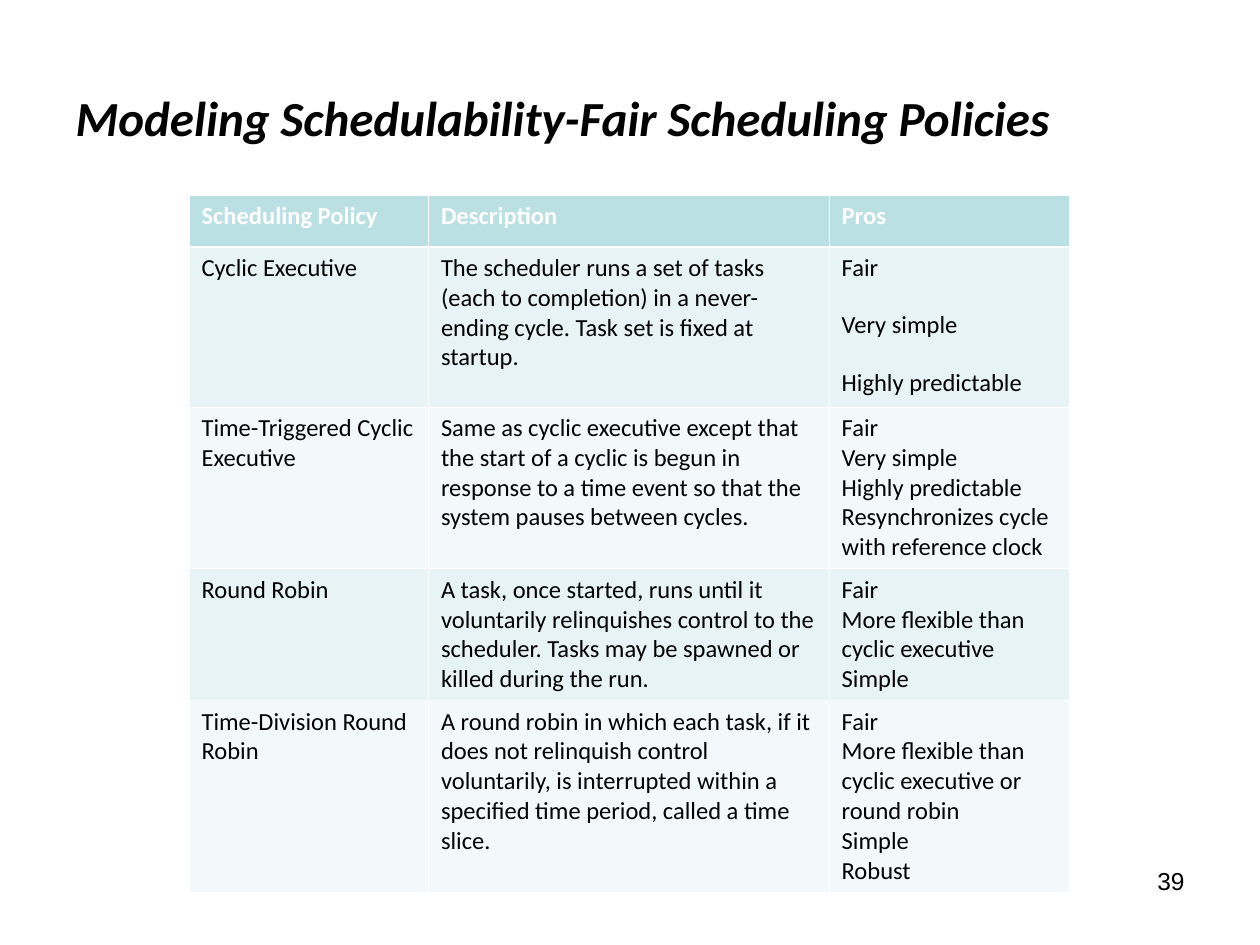
from dataclasses import dataclass

from lxml import etree
from pptx import Presentation
from pptx import util as u
from pptx.dml.color import RGBColor
from pptx.enum import text
from pptx.oxml.ns import qn

BLACK = RGBColor(0x00, 0x00, 0x00)
WHITE = RGBColor(0xFF, 0xFF, 0xFF)
HEADER = RGBColor(0xBB, 0xE0, 0xE3)
BANDS = (RGBColor(0xE7, 0xF3, 0xF4), RGBColor(0xF3, 0xF9, 0xFA))

WIDTH, HEIGHT = u.Inches(10), u.Inches(7.5)
COLUMNS = (0.19, 0.318, 0.191)
THIN, THICK = 0.45, 1.47


@dataclass
class Row:
    policy: str
    description: str
    pros: tuple[str, ...]
    height: float
    gap: float = 0


ROWS = (
    Row("Scheduling Policy", "Description", ("Pros",), 0.41),
    Row("Cyclic Executive",
        "The scheduler runs a set of tasks (each to completion) in a "
        "never-ending cycle. Task set is fixed at startup.",
        ("Fair", "Very simple", "Highly predictable"), 1.27, gap=15.7),
    Row("Time-Triggered Cyclic Executive",
        "Same as cyclic executive except that the start of a cyclic is begun "
        "in response to a time event so that the system pauses between cycles.",
        ("Fair", "Very simple", "Highly predictable",
         "Resynchronizes cycle with reference clock"), 1.27),
    Row("Round Robin",
        "A task, once started, runs until it voluntarily relinquishes control "
        "to the scheduler. Tasks may be spawned or killed during the run.",
        ("Fair", "More flexible than cyclic executive", "Simple"), 1.03),
    Row("Time-Division Round Robin",
        "A round robin in which each task, if it does not relinquish control "
        "voluntarily, is interrupted within a specified time period, called "
        "a time slice.",
        ("Fair", "More flexible than cyclic executive or round robin",
         "Simple", "Robust"), 1.5),
)


def place(sp, left: float, top: float, width: float, height: float) -> None:
    sp.left, sp.top = int(WIDTH * left), int(HEIGHT * top)
    sp.width, sp.height = int(WIDTH * width), int(HEIGHT * height)


def set_font(p, name: str, size: float, color: RGBColor,
             bold: bool = False, italic: bool = False) -> None:
    p.font.name, p.font.size = name, u.Pt(size)
    p.font.bold, p.font.italic = bold, italic
    p.font.color.rgb = color


def add_borders(cell, top: float, bottom: float) -> None:
    tcPr = cell._tc.get_or_add_tcPr()
    for side, width in zip("LRTB", (THIN, THIN, top, bottom)):
        ln = etree.SubElement(tcPr, qn(f"a:ln{side}"), w=str(u.Pt(width)))
        fill = etree.SubElement(ln, qn("a:solidFill"))
        etree.SubElement(fill, qn("a:srgbClr"), val=str(WHITE))


def fill_row(tbl, index: int, row: Row) -> None:
    header = index == 0
    tbl.rows[index].height = u.Inches(row.height)
    columns = ((row.policy,), (row.description,), row.pros)
    for cell, lines in zip(tbl.rows[index].cells, columns):
        add_borders(cell, THICK if index == 1 else THIN,
                    THICK if header else THIN)
        cell.fill.solid()
        cell.fill.fore_color.rgb = HEADER if header else BANDS[(index - 1) % 2]
        tf = cell.text_frame
        tf.text = "\n".join(lines)
        for n, p in enumerate(tf.paragraphs):
            if n and row.gap:
                p.space_before = u.Pt(row.gap)
            set_font(p, "Calibri", 14, WHITE if header else BLACK, bold=header)


def add_title(s, title: str) -> None:
    sp = s.shapes.title
    place(sp, 0.05, 0.04, 0.9, 1 / 6)
    tf = sp.text_frame
    tf.text = title
    tf.auto_size = text.MSO_AUTO_SIZE.NONE
    tf.vertical_anchor = text.MSO_ANCHOR.MIDDLE
    p = tf.paragraphs[0]
    p.alignment = text.PP_ALIGN.LEFT
    set_font(p, "Calibri", 28, BLACK, bold=True, italic=True)


def add_policy_table(s) -> None:
    frame = s.shapes.add_table(
        len(ROWS), len(COLUMNS), u.Inches(1.5), u.Inches(1.55),
        int(WIDTH * sum(COLUMNS)), u.Inches(sum(r.height for r in ROWS)))
    tbl = frame.table
    for column, share in zip(tbl.columns, COLUMNS):
        column.width = int(WIDTH * share)
    for index, row in enumerate(ROWS):
        fill_row(tbl, index, row)


def add_page_number(s, number: str) -> None:
    sp = s.shapes.add_textbox(0, 0, 0, 0)
    place(sp, 0.717, 0.91, 0.233, 0.07)
    tf = sp.text_frame
    tf.word_wrap = True
    tf.text = number
    p = tf.paragraphs[0]
    p.alignment = text.PP_ALIGN.RIGHT
    set_font(p, "Arial", 14, BLACK)


def main() -> None:
    prs = Presentation()
    prs.slide_width, prs.slide_height = WIDTH, HEIGHT
    s = prs.slides.add_slide(prs.slide_layouts.get_by_name("Title Only"))
    add_title(s, "Modeling Schedulability-Fair Scheduling Policies")
    add_policy_table(s)
    add_page_number(s, "39")
    prs.save("out.pptx")


if __name__ == "__main__":
    main()
